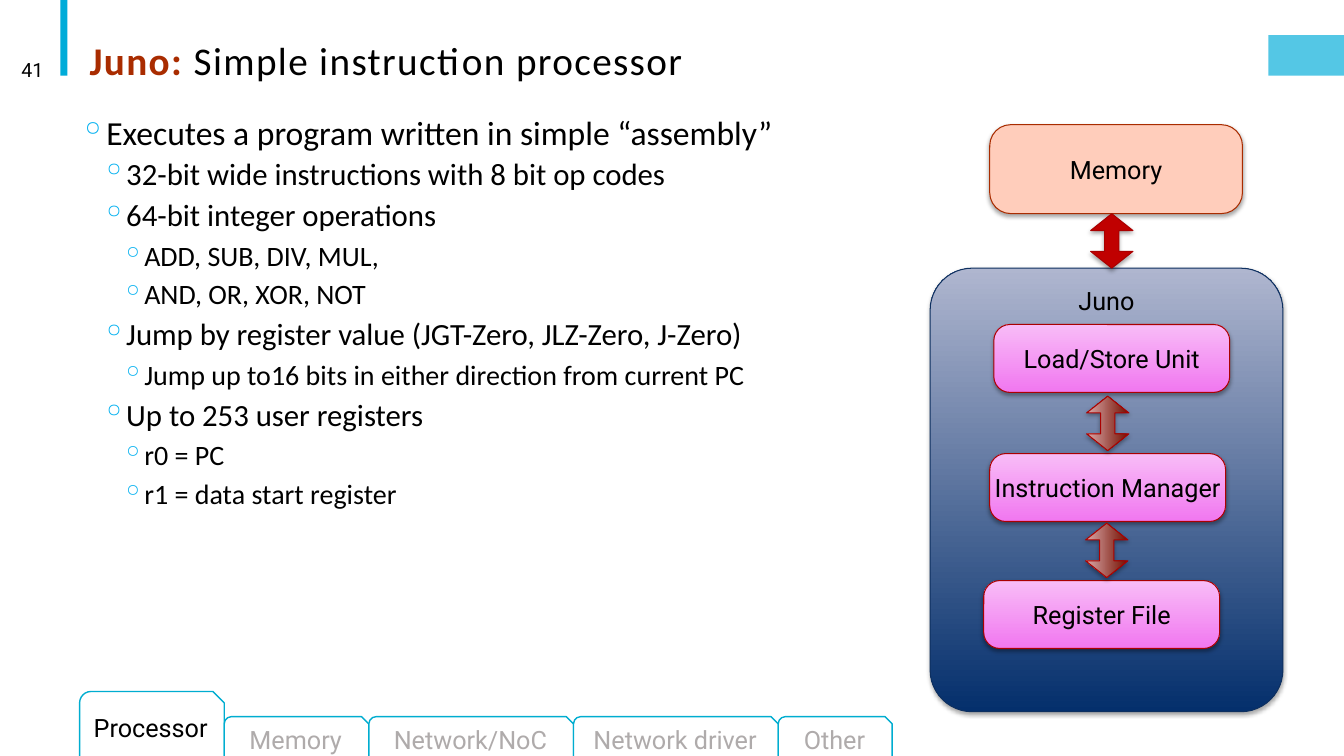
import pptx
import pptx.util
import pptx.dml.color
import pptx.enum.shapes
import pptx.enum.text
import lxml.etree
from pptx.oxml.ns import qn

Pt = pptx.util.Pt
RGB = pptx.dml.color.RGBColor
SHAPE = pptx.enum.shapes.MSO_SHAPE
ALIGN = pptx.enum.text.PP_ALIGN
ANCHOR = pptx.enum.text.MSO_ANCHOR

BLACK = RGB(0, 0, 0)
WHITE = RGB(255, 255, 255)
CYAN = RGB(0x00, 0xAC, 0xD9)
PALE_CYAN = RGB(0x54, 0xC7, 0xE5)
TAB_LINE = RGB(0x00, 0xAD, 0xD0)
TAB_GREY = RGB(0xAF, 0xAB, 0xAB)
BULLET = RGB(0x00, 0xB0, 0xF0)
RUST = RGB(0xA9, 0x2C, 0x00)
PEACH = RGB(0xFF, 0xCD, 0xBB)
RED = RGB(0xC0, 0, 0)
DARK_RED = RGB(0xAA, 0, 0)
NAVY_LINE = RGB(0x0E, 0x30, 0x60)
NAVY_FADE = (RGB(0x04, 0x2F, 0x6C), RGB(0xAF, 0xB6, 0xCF))
PINK_FADE = (RGB(0xF1, 0x78, 0xF0), RGB(0xF8, 0xBC, 0xF7))
RUST_FADE = (RGB(0x73, 0x0E, 0x00), RGB(0xDA, 0xA9, 0xA9))

TITLE = [("Juno: ", RUST, True), ("Simple instruction processor", BLACK, False)]
POINTS = [
    (0, "Executes a program written in simple “assembly”"),
    (1, "32-bit wide instructions with 8 bit op codes"),
    (1, "64-bit integer operations"),
    (2, "ADD, SUB, DIV, MUL,"),
    (2, "AND, OR, XOR, NOT"),
    (1, "Jump by register value (JGT-Zero, JLZ-Zero, J-Zero)"),
    (2, "Jump up to16 bits in either direction from current PC"),
    (1, "Up to 253 user registers"),
    (2, "r0 = PC"),
    (2, "r1 = data start register"),
]
LEVELS = [(24, 7.2, 2), (22, 30.24, 4), (20, 44.64, 4)]
UNITS = [("Load/Store Unit", 709.9, 231.8), ("Instruction Manager", 707, 324),
         ("Register File", 702.7, 414.7)]
ARROWS = [(774.7, 157, RED), (771.8, 287.3, RUST_FADE), (771.1, 378, RUST_FADE)]
TABS = [("Processor", 103.3), ("Memory", 103.3), ("Network/NoC", 146.2),
        ("Network driver", 146.2), ("Other", 81.4)]
TAB_LEFT, TAB_BOTTOM = 56.9, 542.9


def write(shape, text, size=18, color=BLACK, align=ALIGN.CENTER, anchor=ANCHOR.MIDDLE, inset=None):
    frame = shape.text_frame
    frame.word_wrap = True
    frame.vertical_anchor = anchor
    if inset is not None:
        frame.margin_left = frame.margin_right = Pt(inset)
        frame.margin_top = frame.margin_bottom = Pt(inset)
    para = frame.paragraphs[0]
    para.text = text
    para.alignment = align
    para.font.size = Pt(size)
    para.font.name = "Roboto"
    para.font.color.rgb = color


def draw(page, kind, place, fill, line=None, width=0.75, adjust=(), shadow=False):
    shape = page.shapes.add_shape(kind, *[Pt(length) for length in place])
    shape.shadow.inherit = False
    for index, value in enumerate(adjust):
        shape.adjustments[index] = value
    if isinstance(fill, RGB):
        shape.fill.solid()
        shape.fill.fore_color.rgb = fill
    else:
        shape.fill.gradient()
        shape.fill.gradient_angle = 90
        for stop, color in zip(shape.fill.gradient_stops, fill):
            stop.color.rgb = color
    if line is None:
        shape.line.fill.background()
    else:
        shape.line.color.rgb = line
        shape.line.width = Pt(width)
    if shadow:
        effects = shape._element.spPr.find(qn("a:effectLst"))
        outer = lxml.etree.SubElement(effects, qn("a:outerShdw"), blurRad=str(Pt(3)),
                                      dist=str(Pt(1.8)), dir="5400000", rotWithShape="0")
        tint = lxml.etree.SubElement(outer, qn("a:srgbClr"), val="000000")
        lxml.etree.SubElement(tint, qn("a:alpha"), val="35000")
    return shape


def add_title(page):
    title = page.shapes.title
    title.left, title.top, title.width, title.height = Pt(56.9), Pt(18.7), Pt(792), Pt(44.6)
    frame = title.text_frame
    frame.auto_size = pptx.enum.text.MSO_AUTO_SIZE.NONE
    frame.vertical_anchor = ANCHOR.BOTTOM
    para = frame.paragraphs[0]
    para.alignment = ALIGN.LEFT
    para.line_spacing = 0.85
    for text, color, bold in TITLE:
        span = para.add_run()
        span.text = text
        span.font.size = Pt(28)
        span.font.name = "Calibri"
        span.font.bold = bold
        span.font.color.rgb = color
        span.font._element.set("spc", "100")


def add_points(page):
    box = page.shapes.add_textbox(Pt(56.9), Pt(79.9), Pt(575.3), Pt(367.2))
    frame = box.text_frame
    frame.word_wrap = True
    frame.margin_left = frame.margin_right = 0
    for index, (level, text) in enumerate(POINTS):
        size, indent, after = LEVELS[level]
        para = frame.add_paragraph() if index else frame.paragraphs[0]
        para.text = text
        para.level = level
        props = para._p.get_or_add_pPr()
        props.set("marL", str(Pt(indent)))
        props.set("indent", str(Pt(-14.4)))
        tint = lxml.etree.SubElement(props, qn("a:buClr"))
        lxml.etree.SubElement(tint, qn("a:srgbClr"), val=str(BULLET))
        lxml.etree.SubElement(props, qn("a:buChar"), char="◦")
        para.line_spacing = 0.9
        para.space_before = Pt(2 if index else 0)
        para.space_after = Pt(after)
        para.font.size = Pt(size)
        para.font.name = "Calibri"
        para.font.color.rgb = BLACK


def add_diagram(page):
    memory = draw(page, SHAPE.ROUNDED_RECTANGLE, (707, 89.1, 180.5, 63.5), PEACH, RUST,
                  adjust=[0.236], shadow=True)
    write(memory, "Memory", inset=0)
    juno = draw(page, SHAPE.ROUNDED_RECTANGLE, (664.4, 191.6, 252, 316.8), NAVY_FADE, NAVY_LINE,
                adjust=[0.119], shadow=True)
    write(juno, "Juno", anchor=ANCHOR.TOP, inset=3.6)
    for name, left, top in UNITS:
        unit = draw(page, SHAPE.ROUNDED_RECTANGLE, (left, top, 168.5, 48.5), PINK_FADE, DARK_RED,
                    adjust=[0.236], shadow=True)
        write(unit, name, inset=0)
    for left, top, fill in ARROWS:
        arrow = draw(page, SHAPE.LEFT_RIGHT_ARROW, (left, top, 38.9, 30.2), fill, DARK_RED,
                     adjust=[0.34, 0.397], shadow=True)
        arrow.rotation = 270


def add_tabs(page):
    left = TAB_LEFT
    for index, (name, width) in enumerate(TABS):
        height = 31 if index else 49
        tab = draw(page, SHAPE.SNIP_ROUND_RECTANGLE, (left, TAB_BOTTOM - height, width, height),
                   WHITE, TAB_LINE, 1)
        write(tab, name, color=TAB_GREY if index else BLACK)
        left += width


def main():
    deck = pptx.Presentation()
    deck.slide_width, deck.slide_height = Pt(960), Pt(540)
    page = deck.slides.add_slide(deck.slide_layouts[5])
    draw(page, SHAPE.RECTANGLE, (43.2, 0, 5, 54), CYAN)
    draw(page, SHAPE.RECTANGLE, (906, 25.2, 54, 28.8), PALE_CYAN)
    add_title(page)
    number = page.shapes.add_textbox(Pt(5), Pt(35.3), Pt(33.1), Pt(28.8))
    write(number, "41", size=14, align=ALIGN.RIGHT)
    add_points(page)
    add_diagram(page)
    add_tabs(page)
    deck.save("out.pptx")


if __name__ == "__main__":
    main()
